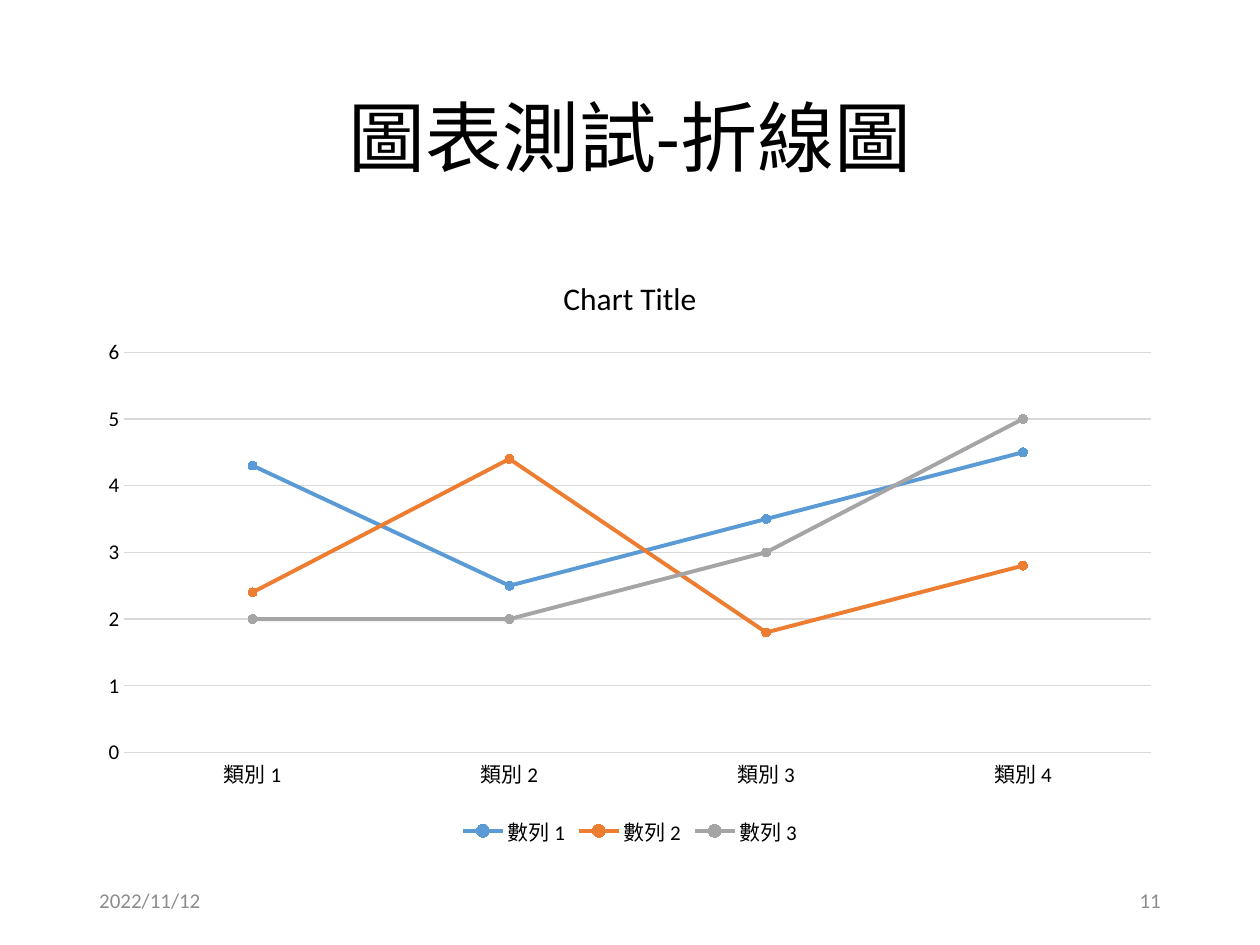
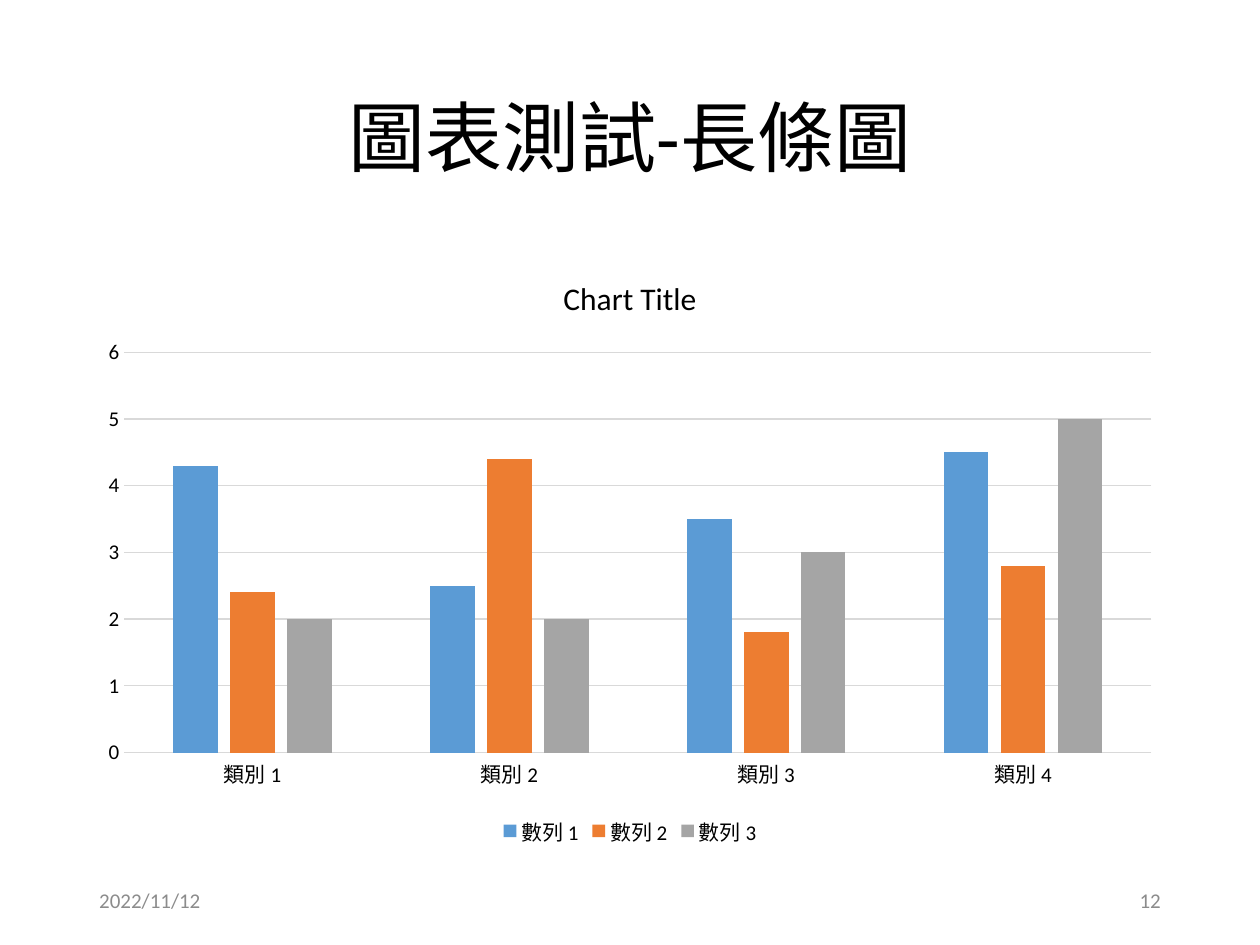
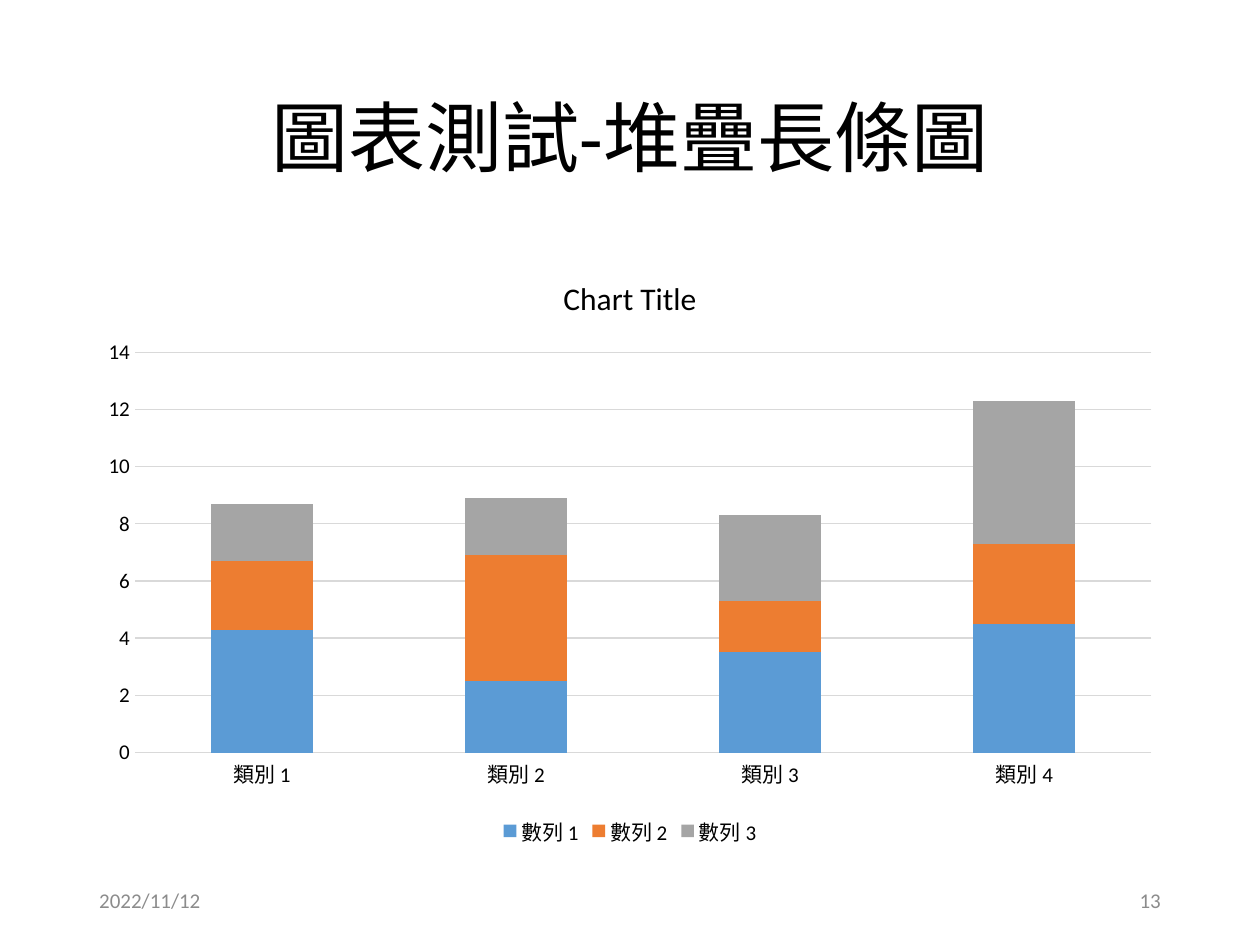
"""Build three chart slides that share a title, a chart style and a footer."""
import pptx
import pptx.chart.data
import pptx.dml.color
import pptx.enum.chart
import pptx.enum.text
import pptx.util
from pptx.dml.color import RGBColor
from pptx.util import Cm

BLACK = RGBColor(0x00, 0x00, 0x00)
FOOTER_GRAY = RGBColor(0x8C, 0x8C, 0x8C)
GRID_GRAY = RGBColor(0xD9, 0xD9, 0xD9)
BLUE = RGBColor(0x5B, 0x9B, 0xD5)
ORANGE = RGBColor(0xED, 0x7D, 0x31)
GRAY = RGBColor(0xA5, 0xA5, 0xA5)

FONT = "Calibri"
MARGIN = Cm(1.75)
CONTENT_WIDTH = Cm(21.9)
FOOTER_WIDTH = Cm(5.72)
FOOTER_TOP = Cm(17.65)
TITLE_ONLY = 5

DATE = "2022/11/12"
FIRST_NUMBER = 11
CATEGORIES = ["類別 1", "類別 2", "類別 3", "類別 4"]
SERIES = [
    ("數列 1", (4.3, 2.5, 3.5, 4.5), BLUE),
    ("數列 2", (2.4, 4.4, 1.8, 2.8), ORANGE),
    ("數列 3", (2, 2, 3, 5), GRAY),
]

Align = pptx.enum.text.PP_ALIGN
ChartType = pptx.enum.chart.XL_CHART_TYPE
CHART_PAGES = [
    ("圖表測試-折線圖", ChartType.LINE_MARKERS, None, None),
    ("圖表測試-長條圖", ChartType.COLUMN_CLUSTERED, 219, -27),
    ("圖表測試-堆疊長條圖", ChartType.COLUMN_STACKED, 150, 100),
]


class ChartDeck:
    """Holds the presentation, its style and the current page."""

    def __init__(self):
        self.deck = pptx.Presentation()
        self.deck.slide_width = Cm(25.4)
        self.deck.slide_height = Cm(19.05)
        self.page = None

    def add_page(self):
        self.page = self.deck.slides.add_slide(self.deck.slide_layouts[TITLE_ONLY])

    def style_font(self, font, size, color=BLACK):
        font.name = FONT
        font.size = pptx.util.Pt(size)
        font.bold = False
        font.color.rgb = color

    def style_line(self, line, color, width):
        line.color.rgb = color
        line.width = pptx.util.Pt(width)

    def set_text(self, box, text, size, color, align):
        frame = box.text_frame
        frame.text = text
        frame.word_wrap = True
        frame.vertical_anchor = pptx.enum.text.MSO_ANCHOR.MIDDLE
        para = frame.paragraphs[0]
        para.alignment = align
        self.style_font(para.runs[0].font, size, color)
        return para

    def add_title(self, text):
        title = self.page.shapes.title
        title.left, title.top = MARGIN, Cm(1.01)
        title.width, title.height = CONTENT_WIDTH, Cm(3.68)
        para = self.set_text(title, text, 44, BLACK, Align.CENTER)
        para.line_spacing = 0.9

    def add_footer_text(self, text, left, align):
        box = self.page.shapes.add_textbox(left, FOOTER_TOP, FOOTER_WIDTH, Cm(1.01))
        self.set_text(box, text, 12, FOOTER_GRAY, align)

    def add_footer(self, number):
        self.add_footer_text(DATE, MARGIN, Align.LEFT)
        right = MARGIN + CONTENT_WIDTH - FOOTER_WIDTH
        self.add_footer_text(str(number), right, Align.RIGHT)

    def add_chart(self, chart_type, gap, overlap):
        data = pptx.chart.data.CategoryChartData()
        data.categories = CATEGORIES
        for name, values, _ in SERIES:
            data.add_series(name, values)
        chart = self.page.shapes.add_chart(
            chart_type, MARGIN, Cm(5.08), CONTENT_WIDTH, Cm(12.09), data
        ).chart
        self.style_font(chart.font, 10)
        self.style_chart_title(chart)
        self.style_axes(chart)
        self.style_legend(chart)
        plot = chart.plots[0]
        plot.vary_by_categories = False
        if gap is not None:
            plot.gap_width = gap
            plot.overlap = overlap
        for series, (_, _, color) in zip(plot.series, SERIES):
            if chart_type == ChartType.LINE_MARKERS:
                self.style_line_series(series, color)
            else:
                self.fill(series.format, color)

    def fill(self, shape_format, color):
        shape_format.fill.solid()
        shape_format.fill.fore_color.rgb = color

    def style_line_series(self, series, color):
        series.smooth = False
        self.style_line(series.format.line, color, 2.25)
        marker = series.marker
        marker.style = pptx.enum.chart.XL_MARKER_STYLE.CIRCLE
        marker.size = 5
        self.fill(marker.format, color)
        self.style_line(marker.format.line, color, 0.75)

    def style_chart_title(self, chart):
        chart.has_title = True
        frame = chart.chart_title.text_frame
        frame.text = "Chart Title"
        self.style_font(frame.paragraphs[0].runs[0].font, 18)

    def style_axes(self, chart):
        for axis in (chart.category_axis, chart.value_axis):
            axis.major_tick_mark = pptx.enum.chart.XL_TICK_MARK.NONE
            axis.minor_tick_mark = pptx.enum.chart.XL_TICK_MARK.NONE
            self.style_font(axis.tick_labels.font, 12)
        self.style_line(chart.category_axis.format.line, GRID_GRAY, 0.75)
        chart.value_axis.format.line.fill.background()
        chart.value_axis.has_major_gridlines = True
        self.style_line(chart.value_axis.major_gridlines.format.line, GRID_GRAY, 0.75)

    def style_legend(self, chart):
        chart.has_legend = True
        chart.legend.position = pptx.enum.chart.XL_LEGEND_POSITION.BOTTOM
        chart.legend.include_in_layout = False
        self.style_font(chart.legend.font, 12)


builder = ChartDeck()
for number, (title, chart_type, gap, overlap) in enumerate(CHART_PAGES, FIRST_NUMBER):
    builder.add_page()
    builder.add_title(title)
    builder.add_chart(chart_type, gap, overlap)
    builder.add_footer(number)
builder.deck.save("out.pptx")
